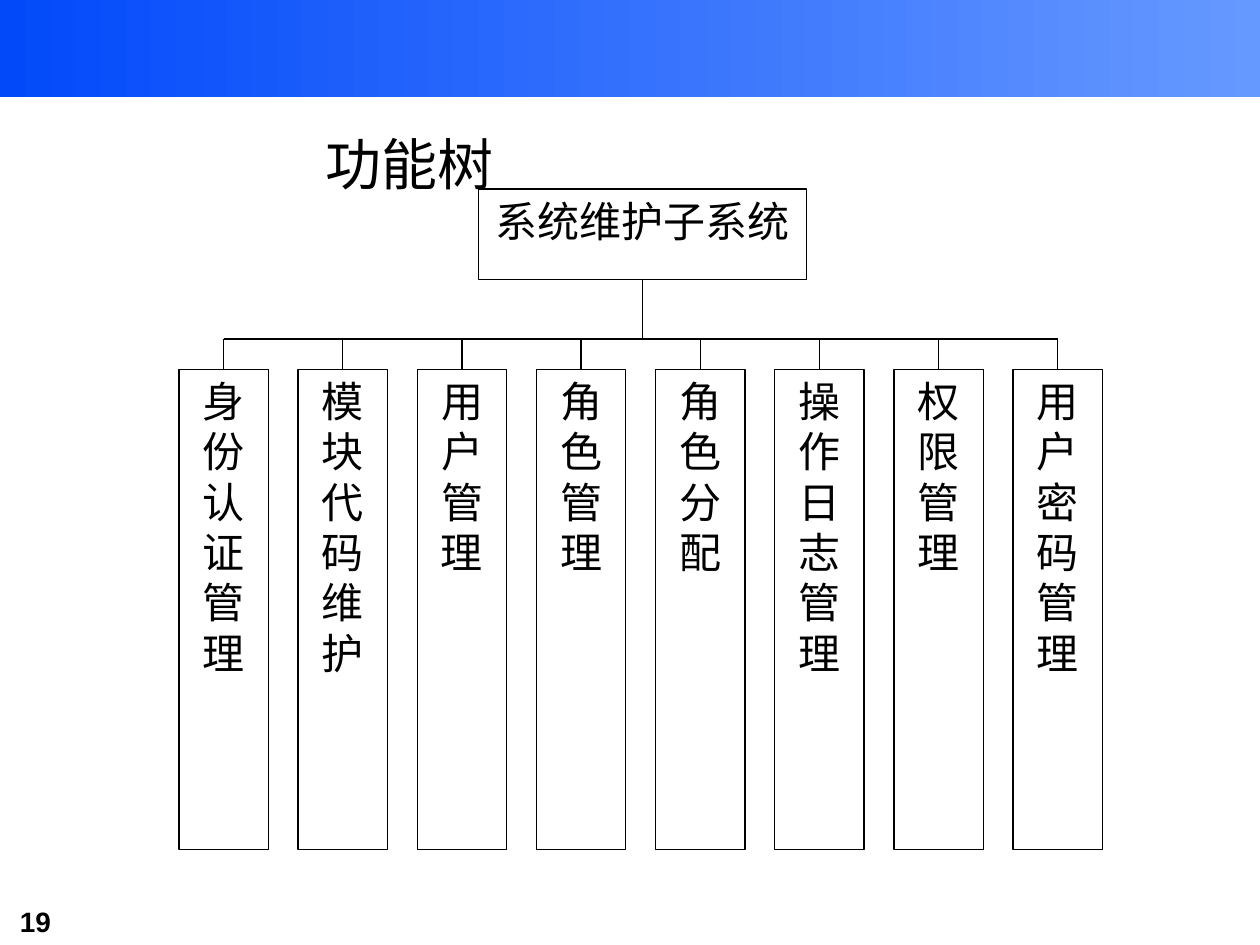
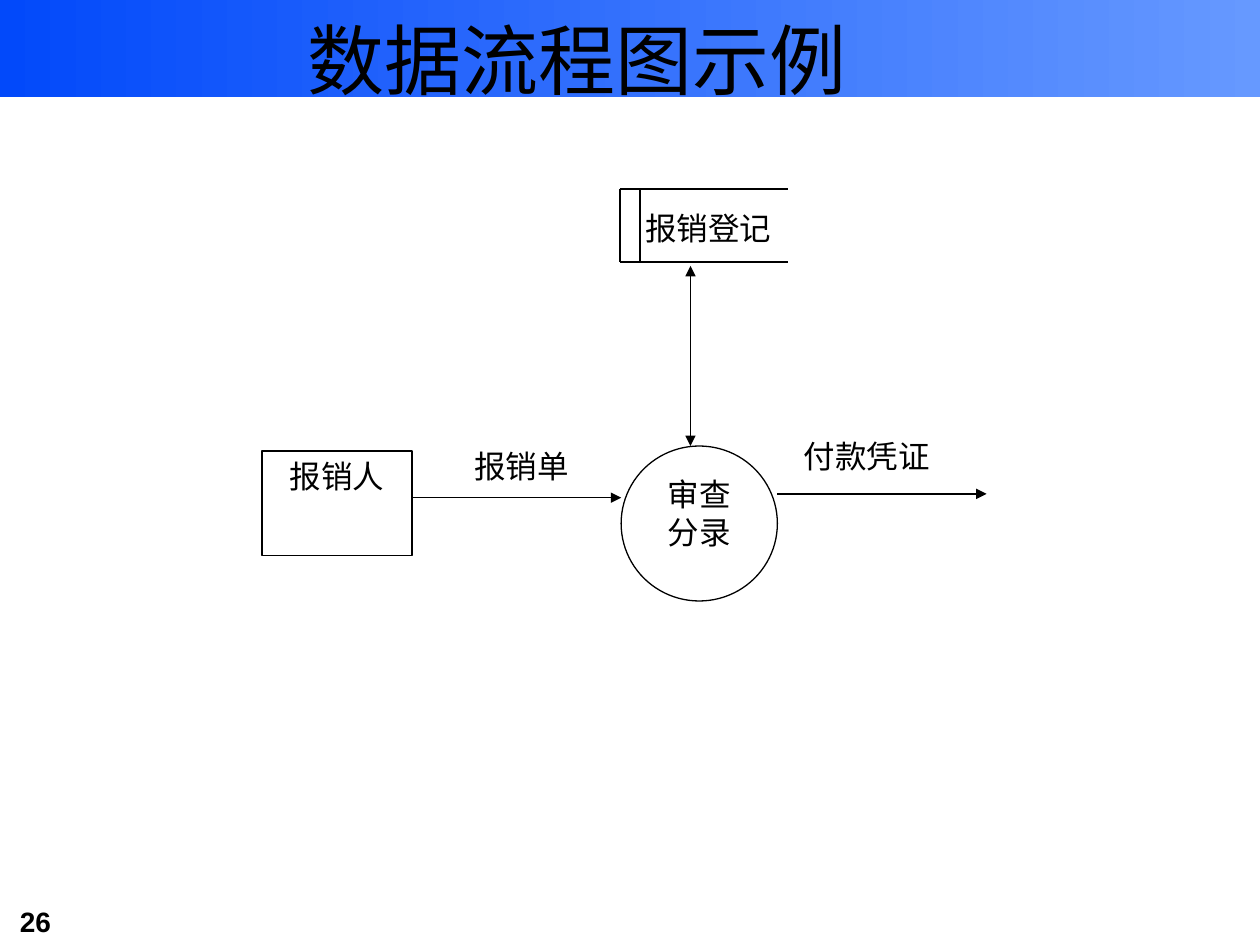
from dataclasses import dataclass

import pptx
import pptx.dml.color
import pptx.enum.shapes
import pptx.enum.text
import pptx.oxml.ns
import pptx.oxml.xmlchemy
import pptx.shapes.autoshape
import pptx.shapes.connector
import pptx.slide
import pptx.util
from lxml import etree
from pptx.util import Inches

BLACK, WHITE = "000000", "FFFFFF"
BAND_START, BAND_END = "0249FA", "6699FF"
BODY_FONT, NUMBER_FONT = "Times New Roman", "Arial"
LINE_WIDTH = pptx.util.Pt(0.75)

SHAPE = pptx.enum.shapes.MSO_SHAPE
ALIGN = pptx.enum.text.PP_ALIGN
ANCHOR = pptx.enum.text.MSO_ANCHOR


@dataclass(frozen=True)
class Box:
    """A text frame at a place in inches; without a shape it is a plain text box."""
    text: str
    left: float
    top: float
    width: float
    height: float
    size: int = 18
    shape: SHAPE | None = None
    fill: str | None = None
    anchor: ANCHOR = ANCHOR.TOP
    align: ALIGN = ALIGN.CENTER
    font: str = BODY_FONT
    bold: bool = False


@dataclass(frozen=True)
class Line:
    x1: float
    y1: float
    x2: float
    y2: float
    head: bool = False
    tail: bool = False


def rgb(value: str) -> pptx.dml.color.RGBColor:
    return pptx.dml.color.RGBColor.from_string(value)


def draw_box(s: pptx.slide.Slide, box: Box) -> None:
    place = [Inches(v) for v in (box.left, box.top, box.width, box.height)]
    if box.shape is None:
        sp = s.shapes.add_textbox(*place)
    else:
        sp = s.shapes.add_shape(box.shape, *place)
        sp.shadow.inherit = False
        sp.line.color.rgb = rgb(BLACK)
        sp.line.width = LINE_WIDTH
        if box.fill:
            sp.fill.solid()
            sp.fill.fore_color.rgb = rgb(box.fill)
        else:
            sp.fill.background()
    tf = sp.text_frame
    tf.word_wrap = True
    tf.vertical_anchor = box.anchor
    tf.text = box.text
    p = tf.paragraphs[0]
    p.alignment = box.align
    font = p.runs[0].font
    font.name, font.size, font.bold = box.font, pptx.util.Pt(box.size), box.bold
    font.color.rgb = rgb(BLACK)


def draw_line(s: pptx.slide.Slide, line: Line) -> None:
    ends = [Inches(v) for v in (line.x1, line.y1, line.x2, line.y2)]
    cxn = s.shapes.add_connector(pptx.enum.shapes.MSO_CONNECTOR.STRAIGHT, *ends)
    cxn.line.color.rgb = rgb(BLACK)
    cxn.line.width = LINE_WIDTH
    qn = pptx.oxml.ns.qn
    ln = cxn.line._get_or_add_ln()
    for tag, shown in (("a:headEnd", line.head), ("a:tailEnd", line.tail)):
        if shown:
            etree.SubElement(ln, qn(tag), type="triangle")
    etree.SubElement(cxn._element.spPr, qn("a:effectLst"))


def add_slide(prs: pptx.presentation.Presentation, number: int, title: Box) -> pptx.slide.Slide:
    """Add a slide with the gradient band, page number and title."""
    s = prs.slides.add_slide(prs.slide_layouts[6])
    band = s.shapes.add_shape(SHAPE.RECTANGLE, 0, 0, prs.slide_width, Inches(0.77))
    band.shadow.inherit = False
    band.line.fill.background()
    band.fill.gradient()
    band.fill.gradient_angle = 0
    for stop, color in zip(band.fill.gradient_stops, (BAND_START, BAND_END)):
        stop.color.rgb = rgb(color)
    draw_box(s, Box(str(number), 0.06, 7.13, 1.22, 0.37, 16,
                    align=ALIGN.LEFT, font=NUMBER_FONT, bold=True))
    draw_box(s, title)
    return s


def build_function_tree(prs: pptx.presentation.Presentation) -> None:
    s = add_slide(prs, 19, Box("功能树", 0.75, 0.82, 5, 0.95, 32, anchor=ANCHOR.MIDDLE))
    functions = ("身份认证管理", "模块代码维护", "用户管理", "角色管理",
                 "角色分配", "操作日志管理", "权限管理", "用户密码管理")
    first_left, last_left, width = 1.42, 8.04, 0.71
    pitch = (last_left - first_left) / (len(functions) - 1)
    bus_y, leaf_top = 2.69, 2.93
    root = Box("系统维护子系统", 3.8, 1.5, 2.6, 0.72, 24, SHAPE.RECTANGLE, WHITE)
    draw_box(s, root)
    root_x = root.left + root.width / 2
    draw_line(s, Line(root_x, root.top + root.height, root_x, bus_y))
    draw_line(s, Line(first_left + width / 2, bus_y, last_left + width / 2, bus_y))
    for i, name in enumerate(functions):
        left = first_left + i * pitch
        center = left + width / 2
        draw_box(s, Box(name, left, leaf_top, width, 3.81, 24, SHAPE.RECTANGLE, WHITE))
        draw_line(s, Line(center, bus_y, center, leaf_top))


def build_data_flow(prs: pptx.presentation.Presentation) -> None:
    s = add_slide(prs, 26, Box("数据流程图示例", 0.33, 0.25, 8.5, 0.63, 44,
                               anchor=ANCHOR.BOTTOM))
    for text, left, top in (("付款凭证", 5.91, 3.42), ("报销单", 3.17, 3.5),
                            ("报销登记", 4.65, 1.61)):
        draw_box(s, Box(text, left, top, 1.94, 0.61))
    draw_box(s, Box("报销人", 2.08, 3.58, 1.19, 0.83, shape=SHAPE.RECTANGLE))
    draw_box(s, Box("审查分录", 4.93, 3.54, 1.24, 1.23, shape=SHAPE.OVAL))

    flows = [Line(3.27, 3.95, 4.93, 3.95, tail=True),
             Line(6.17, 3.92, 7.83, 3.92, tail=True),
             Line(5.48, 2.11, 5.48, 3.54, head=True, tail=True)]
    store_left, store_right, store_top, store_bottom = 4.92, 6.25, 1.5, 2.08
    store = [Line(store_left, y, store_right, y) for y in (store_top, store_bottom)]
    store += [Line(x, store_top, x, store_bottom) for x in (store_left, 5.08)]
    for line in flows + store:
        draw_line(s, line)


def main() -> None:
    prs = pptx.Presentation()
    prs.slide_width, prs.slide_height = Inches(10), Inches(7.5)
    build_function_tree(prs)
    build_data_flow(prs)
    prs.save("out.pptx")


if __name__ == "__main__":
    main()
